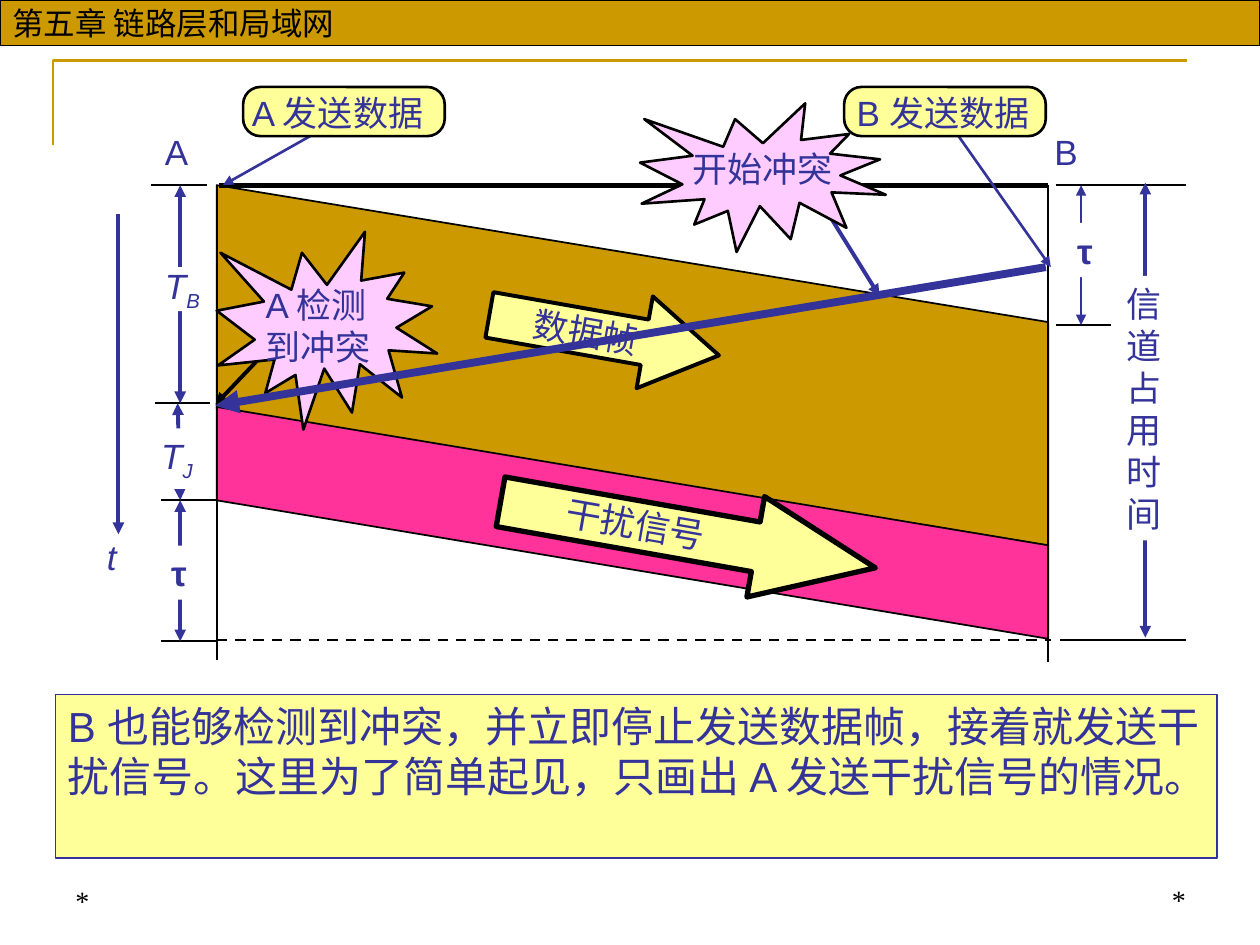
import pptx
import pptx.util
import pptx.dml.color
import pptx.enum.dml
import pptx.enum.shapes
import pptx.enum.text
import pptx.oxml.ns
import lxml.etree

Inches, Pt = pptx.util.Inches, pptx.util.Pt
SHAPE = pptx.enum.shapes.MSO_SHAPE
ANCHOR = pptx.enum.text.MSO_ANCHOR
ALIGN = pptx.enum.text.PP_ALIGN
FIT = pptx.enum.text.MSO_AUTO_SIZE.SHAPE_TO_FIT_TEXT

COLORS = {"ink": "333399", "black": "000000", "white": "FFFFFF", "gold": "CC9900",
          "pink": "FF3399", "yellow": "FFFF99", "burst": "FFCCFF"}

TITLE = "第五章 链路层和局域网"
NOTE = ("B 也能够检测到冲突，并立即停止发送数据帧，接着就发送干扰信号。"
        "这里为了简单起见，只画出 A 发送干扰信号的情况。")

# Time axis: A on the left, B on the right, moments going down
A_X, B_X = 1.72, 8.32
START, DETECT, JAM_END, FINISH = 1.47, 3.2, 3.97, 5.08

# Bands across the channel: top, height, slant, colour
BANDS = [(1.47, 2.86, 0.38, "gold"), (3.23, 1.84, 0.597, "pink")]
# Block arrows: box, adjustments, line width, text
BLOCK_ARROWS = [((3.87, 2.29, 1.85, 0.74), (0.494, 0.808), 2.25, "数据帧"),
                ((3.95, 3.84, 3.02, 0.81), (0.494, 1.19), 3, "")]
# Black lines: from, to, width
RULES = [
    ((1.74, START), (B_X, START), 3),
    ((A_X, START), (A_X, 5.24), 1),
    ((B_X, START), (B_X, 5.25), 1),
    ((1.2, START), (1.64, START), 1),
    ((1.23, DETECT), (1.67, DETECT), 1),
    ((1.28, JAM_END), (A_X, JAM_END), 1),
    ((1.28, 5.09), (A_X, 5.09), 1),
    ((8.38, START), (9.41, START), 1),
    ((8.38, 2.58), (8.82, 2.58), 1),
    ((8.41, FINISH), (9.41, FINISH), 1),
]
# Durations with two heads: from, to, width
SPANS = [
    ((1.43, START), (1.43, DETECT), 2.25),
    ((1.41, DETECT), (1.43, JAM_END), 2.25),
    ((1.43, JAM_END), (1.43, 5.09), 2.25),
    ((8.58, START), (8.58, 2.58), 1.5),
    ((9.09, 1.45), (9.09, 5.06), 2.25),
]
# Labels: text, subscript, box, style, white background
LABELS = [
    ("A", "", (1.21, 0.99, 0.38, 0.43), "", False),
    ("B", "", (8.27, 0.99, 0.38, 0.43), "", False),
    ("t", "", (0.75, 4.2, 0.27, 0.44), "i", False),
    ("T", "B", (1.21, 2.05, 0.48, 0.48), "i", False),
    ("T", "J", (1.18, 3.4, 0.45, 0.48), "i", True),
    ("τ", "", (1.26, 4.33, 0.32, 0.43), "b", True),
    ("τ", "", (8.45, 1.77, 0.32, 0.43), "b", True),
    ("信\n道\n占\n用\n时\n间", "", (8.84, 2.19, 0.48, 2.1), "", True),
]
# Callouts: text, text box, kind, shape box, pointer from, to, width, colour
CALLOUTS = [
    ("B 发送数据", (6.7, 0.68, 1.64, 0.44), "tag", (6.7, 0.69, 1.6, 0.39),
     (7.6, 1.07), (8.34, 2.12), 1.5, "ink"),
    ("A 检测\n到冲突", (2.01, 2.2, 1.08, 0.77), "burst", (1.72, 1.84, 1.75, 1.57),
     (2.31, 2.58), (1.71, 3.21), 2.25, "black"),
    ("开始冲突", (5.4, 1.12, 1.31, 0.44), "burst", (5.08, 0.82, 1.95, 1.18),
     (6.57, 1.69), (6.98, 2.35), 2.25, "ink"),
    ("A 发送数据", (1.9, 0.68, 1.64, 0.44), "tag", (1.93, 0.69, 1.6, 0.39),
     (2.48, 1.07), (1.77, 1.47), 1.5, "ink"),
]
FOOTERS = [((0.5, 6.83, 2.33, 0.5), ALIGN.LEFT), ((6.34, 6.82, 3.17, 0.5), ALIGN.RIGHT)]

deck = pptx.Presentation()
deck.slide_width, deck.slide_height = Inches(10), Inches(7.5)
page = deck.slides.add_slide(deck.slide_layouts[6])


def rgb(name):
    return pptx.dml.color.RGBColor.from_string(COLORS[name])


def add_box(kind, at, fill, width=0, line="black", adjust=(), angle=0):
    box = page.shapes.add_shape(kind, *map(Inches, at))
    box.shadow.inherit = False
    box.rotation = angle
    box.fill.solid()
    box.fill.fore_color.rgb = rgb(fill)
    if width:
        box.line.color.rgb = rgb(line)
        box.line.width = Pt(width)
    else:
        box.line.fill.background()
    for i, value in enumerate(adjust):
        box.adjustments[i] = value
    return box


def write(box, text, size=20, color="ink", font="Arial", align=ALIGN.LEFT,
          anchor=ANCHOR.TOP, wrap=False, style="", fit=False):
    frame = box.text_frame
    frame.text = text
    frame.word_wrap = wrap
    frame.vertical_anchor = anchor
    if fit:
        frame.auto_size = FIT
    for para in frame.paragraphs:
        para.alignment = align
        for span in para.runs:
            set_font(span, size, color, font, style)


def set_font(span, size, color, font, style):
    span.font.size = Pt(size)
    span.font.name = font
    span.font.color.rgb = rgb(color)
    span.font.bold = "b" in style
    span.font.italic = "i" in style


def add_text(at, text, **options):
    box = page.shapes.add_textbox(*map(Inches, at))
    write(box, text, **options)
    return box


def add_line(start, end, width, color="black", heads=()):
    line = page.shapes.add_connector(pptx.enum.shapes.MSO_CONNECTOR.STRAIGHT,
                                     *map(Inches, start + end))
    line.line.color.rgb = rgb(color)
    line.line.width = Pt(width)
    for end_tag in heads:
        head = lxml.etree.SubElement(line.line._get_or_add_ln(),
                                     pptx.oxml.ns.qn("a:" + end_tag))
        head.set("type", "triangle")
    lxml.etree.SubElement(line._element.spPr, pptx.oxml.ns.qn("a:effectLst"))
    return line


# Page frame, title bar and footers
corner = page.shapes.build_freeform(Inches(0.42), Inches(1.15))
corner.add_line_segments([(Inches(0.42), Inches(0.48)), (Inches(9.42), Inches(0.48))],
                         close=False)
frame_line = corner.convert_to_shape()
frame_line.shadow.inherit = False
frame_line.fill.background()
frame_line.line.color.rgb = rgb("gold")
frame_line.line.width = Pt(1.5)
title_bar = add_box(SHAPE.RECTANGLE, (0, 0, 10, 0.36), "gold", 0.75)
write(title_bar, TITLE, size=18, color="black", anchor=ANCHOR.MIDDLE)
for at, align in FOOTERS:
    add_text(at, "*", size=16, color="black", font="Times New Roman",
             align=align, anchor=ANCHOR.BOTTOM, wrap=True)

# Bands: upright parallelograms turned a quarter about their centre
reach = B_X - A_X
for (top, height, slant, color), block in zip(BANDS, BLOCK_ARROWS):
    at = ((A_X + B_X - height) / 2, top + (height - reach) / 2, height, reach)
    add_box(SHAPE.PARALLELOGRAM, at, color, 1, adjust=(slant,), angle=90)
    arrow_at, adjust, width, text = block
    arrow = add_box(SHAPE.RIGHT_ARROW, arrow_at, "yellow", width, adjust=adjust, angle=10)
    if text:
        write(arrow, text, align=ALIGN.CENTER, anchor=ANCHOR.MIDDLE)
add_text((4.39, 3.94, 1.31, 0.44), "干扰信号", fit=True).rotation = 9.9

# Axes, ticks and durations
for start, end, width in RULES:
    add_line(start, end, width)
finish_line = add_line((A_X, FINISH), (8.34, FINISH), 1.5)
finish_line.line.dash_style = pptx.enum.dml.MSO_LINE.DASH
for start, end, width in SPANS:
    add_line(start, end, width, "ink", ("headEnd", "tailEnd"))
add_line((0.94, 1.7), (0.94, 4.24), 2.25, "ink", ("tailEnd",))

# Labels
add_box(SHAPE.RECTANGLE, (1.27, 2.12, 0.37, 0.35), "white")
for text, subscript, at, style, backed in LABELS:
    label = add_text(at, text, style=style, fit=True)
    if backed:
        label.fill.solid()
        label.fill.fore_color.rgb = rgb("white")
    if subscript:
        span = label.text_frame.paragraphs[0].add_run()
        span.text = subscript
        set_font(span, 20, "ink", "Arial", style)
        span._r.get_or_add_rPr().set("baseline", "-25000")

# Callouts
for text, text_at, kind, at, start, end, width, color in CALLOUTS:
    add_line(start, end, width, color, ("tailEnd",))
    if kind == "tag":
        add_box(SHAPE.ROUNDED_RECTANGLE, at, "yellow", 1.5, adjust=(0.354,))
    else:
        add_box(SHAPE.EXPLOSION1, at, "burst", 1.5)
    add_text(text_at, text, fit=True)

# Signal from B to A, and the note
add_line((8.3, 2.12), (1.71, 3.22), 4.5, "ink", ("tailEnd",))
note = add_box(SHAPE.RECTANGLE, (0.44, 5.51, 9.22, 1.3), "yellow", 0.75, "ink")
write(note, NOTE, size=24, wrap=True, fit=True)

deck.save("out.pptx")
